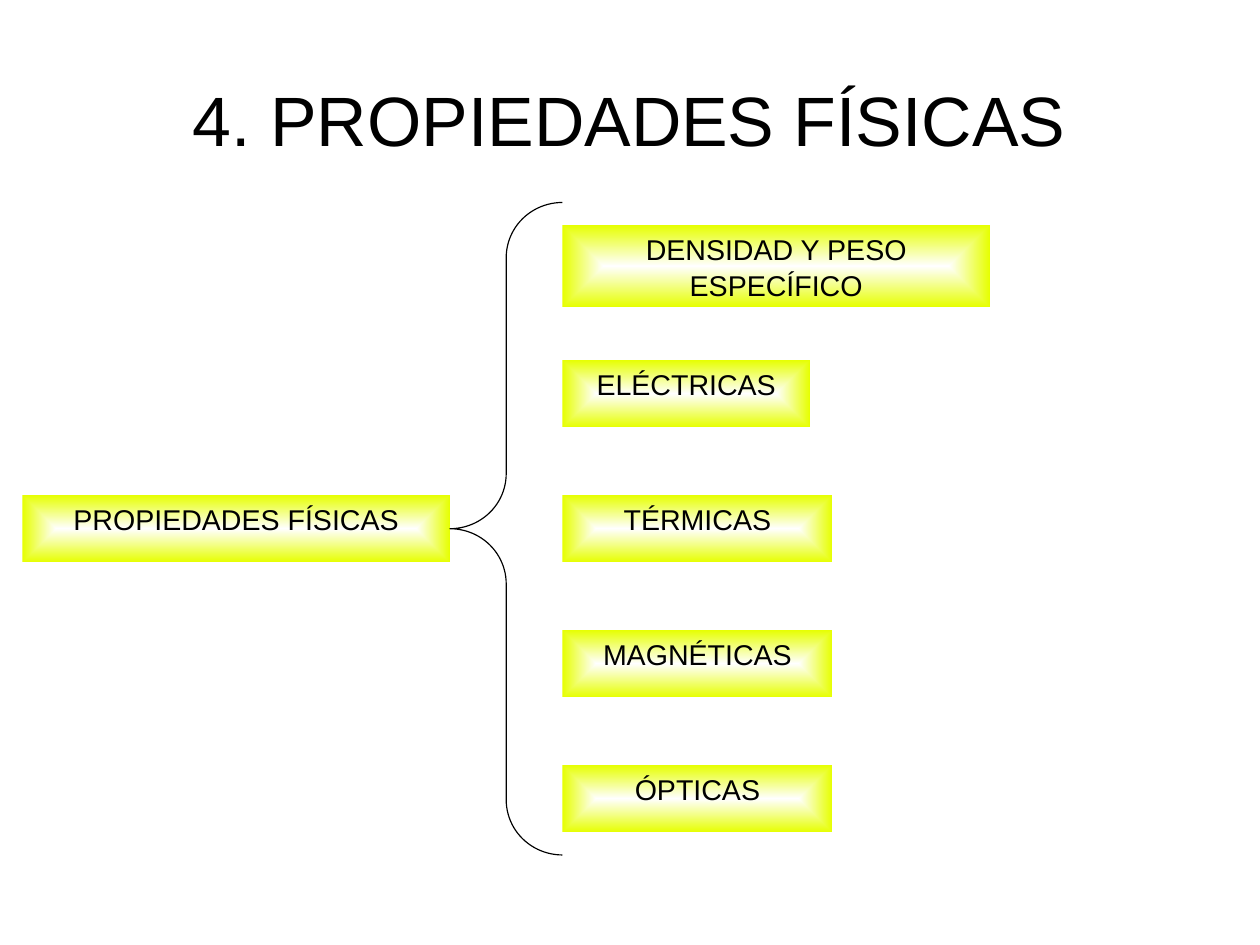
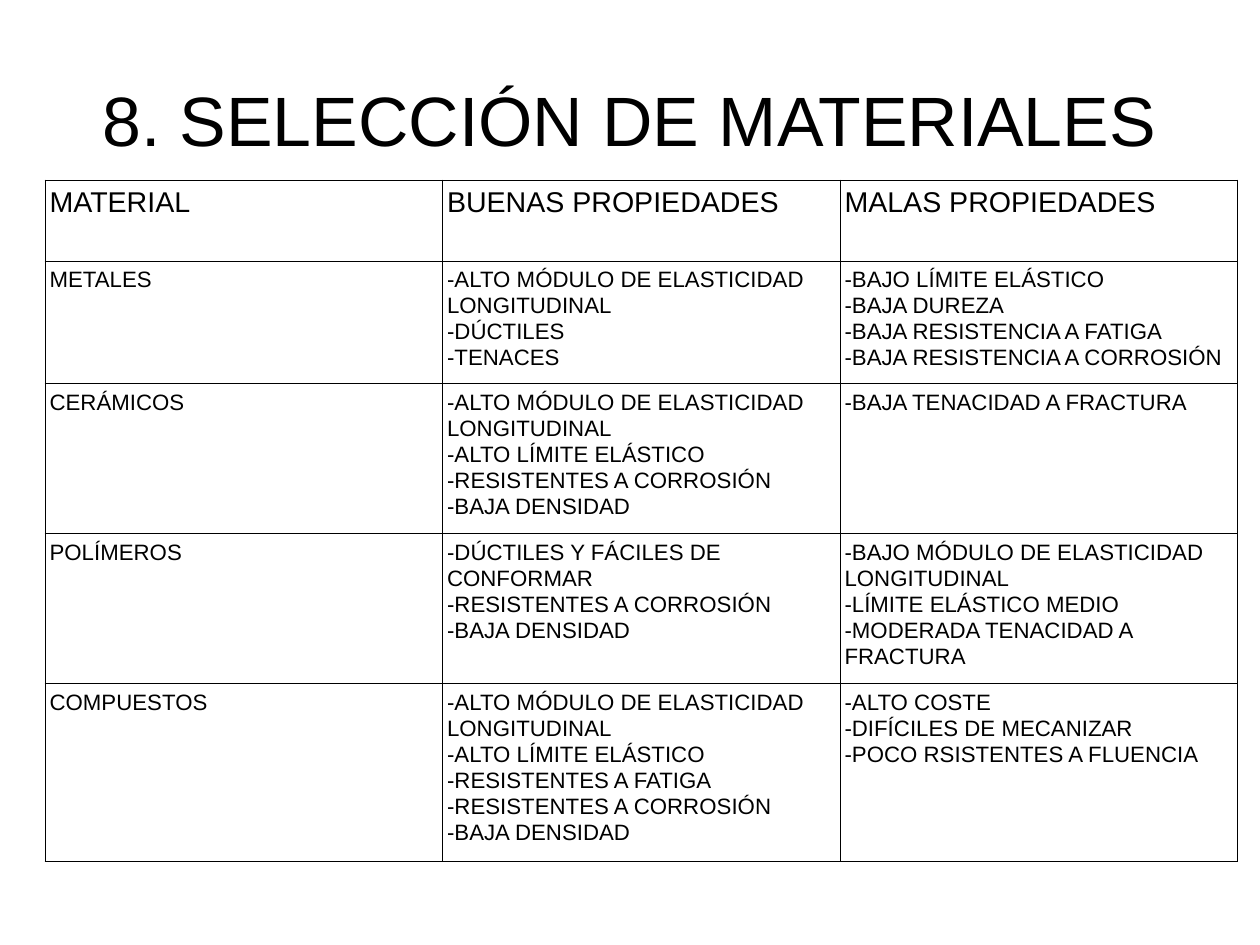
"""Two slides on the physical properties and the selection of materials."""
from lxml import etree
from pptx import Presentation
from pptx.dml.color import RGBColor
from pptx.enum.shapes import MSO_SHAPE
from pptx.enum.text import MSO_ANCHOR, PP_ALIGN
from pptx.oxml.ns import qn
from pptx.util import Cm, Inches, Pt

RECTANGLE, BRACE = MSO_SHAPE.RECTANGLE, MSO_SHAPE.LEFT_BRACE
LEFT, CENTER = PP_ALIGN.LEFT, PP_ALIGN.CENTER
TOP, MIDDLE = MSO_ANCHOR.TOP, MSO_ANCHOR.MIDDLE
COLORS = {"ink": "000000", "core": "FFFFFF", "edge": "E6FF00", "page": "FFFFFF"}
FONT = "Arial"
COLUMNS, ROWS = 56, 42
BLANK = 6

PROPERTIES = [
    ("DENSIDAD Y PESO ESPECÍFICO", 19, 3.66),
    ("ELÉCTRICAS", 11, 3),
    ("TÉRMICAS", 12, 3),
    ("MAGNÉTICAS", 12, 3),
    ("ÓPTICAS", 12, 3),
]
STIFF = "-ALTO MÓDULO DE ELASTICIDAD LONGITUDINAL"
MATERIALS = [
    ("MATERIAL", "BUENAS PROPIEDADES", "MALAS PROPIEDADES"),
    ("METALES",
     f"{STIFF}\n-DÚCTILES\n-TENACES",
     "-BAJO LÍMITE ELÁSTICO\n-BAJA DUREZA\n-BAJA RESISTENCIA A FATIGA\n"
     "-BAJA RESISTENCIA A CORROSIÓN"),
    ("CERÁMICOS",
     f"{STIFF}\n-ALTO LÍMITE ELÁSTICO\n-RESISTENTES A CORROSIÓN\n-BAJA DENSIDAD",
     "-BAJA TENACIDAD A FRACTURA"),
    ("POLÍMEROS",
     "-DÚCTILES Y FÁCILES DE CONFORMAR\n-RESISTENTES A CORROSIÓN\n-BAJA DENSIDAD",
     "-BAJO MÓDULO DE ELASTICIDAD LONGITUDINAL\n-LÍMITE ELÁSTICO MEDIO\n"
     "-MODERADA TENACIDAD A FRACTURA"),
    ("COMPUESTOS",
     f"{STIFF}\n-ALTO LÍMITE ELÁSTICO\n-RESISTENTES A FATIGA\n"
     "-RESISTENTES A CORROSIÓN\n-BAJA DENSIDAD",
     "-ALTO COSTE\n-DIFÍCILES DE MECANIZAR\n-POCO RSISTENTES A FLUENCIA"),
]
MATERIAL_ROWS = [3.6, 5.2, 6.35, 6.35, 7.5]


def grid(*counts):
    return [Cm(count / 2) for count in counts]


def color(name):
    return RGBColor.from_string(COLORS[name])


def write(frame, text, size=18, align=LEFT, anchor=TOP, spacing=1.04):
    frame.word_wrap = True
    frame.vertical_anchor = anchor
    frame.text = text
    for paragraph in frame.paragraphs:
        paragraph.alignment = align
        paragraph.line_spacing = spacing
        for run in paragraph.runs:
            run.font.name, run.font.size, run.font.bold = FONT, Pt(size), False
            run.font.color.rgb = color("ink")


class Deck:
    """Holds the shared style and the current slide."""

    def __init__(self):
        self.presentation = Presentation()
        width, height = grid(COLUMNS, ROWS)
        self.presentation.slide_width = width
        self.presentation.slide_height = height

    def page(self, title):
        layout = self.presentation.slide_layouts[BLANK]
        self.slide = self.presentation.slides.add_slide(layout)
        background = self.slide.background.fill
        background.solid()
        background.fore_color.rgb = color("page")
        frame = self.slide.shapes.add_textbox(*grid(2.8, 1.32, 50.4, 7.77)).text_frame
        frame.margin_left = frame.margin_right = 0
        frame.margin_top = frame.margin_bottom = 0
        write(frame, title, size=44, align=CENTER, anchor=MIDDLE)

    def box(self, text, column, row, width, height=3):
        box = self.slide.shapes.add_shape(RECTANGLE, *grid(column, row, width, height))
        box.shadow.inherit = False
        box.line.fill.background()
        box.fill.gradient()
        for stop, name in zip(box.fill.gradient_stops, ("core", "edge")):
            stop.color.rgb = color(name)
        gradient = box.element.spPr.find(qn("a:gradFill"))
        gradient.remove(gradient.find(qn("a:lin")))
        focus = etree.SubElement(gradient, qn("a:path"), path="rect")
        etree.SubElement(focus, qn("a:fillToRect"),
                         {side: "50000" for side in "ltrb"})
        write(box.text_frame, text, align=CENTER)

    def brace(self, column, row, width, height):
        brace = self.slide.shapes.add_shape(BRACE, *grid(column, row, width, height))
        brace.shadow.inherit = False
        brace.adjustments[0] = 0.49
        brace.fill.background()
        brace.line.color.rgb = color("ink")
        brace.line.width = Pt(0)

    def border(self, cell):
        properties = cell._tc.get_or_add_tcPr()
        for side in ("lnL", "lnR", "lnT", "lnB"):
            line = etree.SubElement(properties, qn(f"a:{side}"), w=str(Pt(0.57)))
            fill = etree.SubElement(line, qn("a:solidFill"))
            etree.SubElement(fill, qn("a:srgbClr"), val=COLORS["ink"])

    def table(self, contents, heights, column, row, width):
        area = grid(column, row, width, sum(heights))
        table = self.slide.shapes.add_table(len(contents), len(contents[0]), *area).table
        table.first_row = table.horz_banding = False
        for index, (texts, height) in enumerate(zip(contents, heights)):
            table.rows[index].height = grid(height)[0]
            for cell, text in zip(table.rows[index].cells, texts):
                cell.margin_left = cell.margin_right = Inches(0.04)
                cell.margin_top = cell.margin_bottom = Inches(0.05)
                self.border(cell)
                cell.fill.background()
                write(cell.text_frame, text, size=14 if index else 18)


def main():
    deck = Deck()
    deck.page("4. PROPIEDADES FÍSICAS")
    deck.box("PROPIEDADES FÍSICAS", 1, 22, 19)
    deck.brace(20, 9, 5, 29)
    for index, (name, width, height) in enumerate(PROPERTIES):
        deck.box(name, 25, 10 + 6 * index, width, height)

    deck.page("8. SELECCIÓN DE MATERIALES")
    deck.table(MATERIALS, MATERIAL_ROWS, 2, 8, 53)
    deck.presentation.save("out.pptx")


if __name__ == "__main__":
    main()
